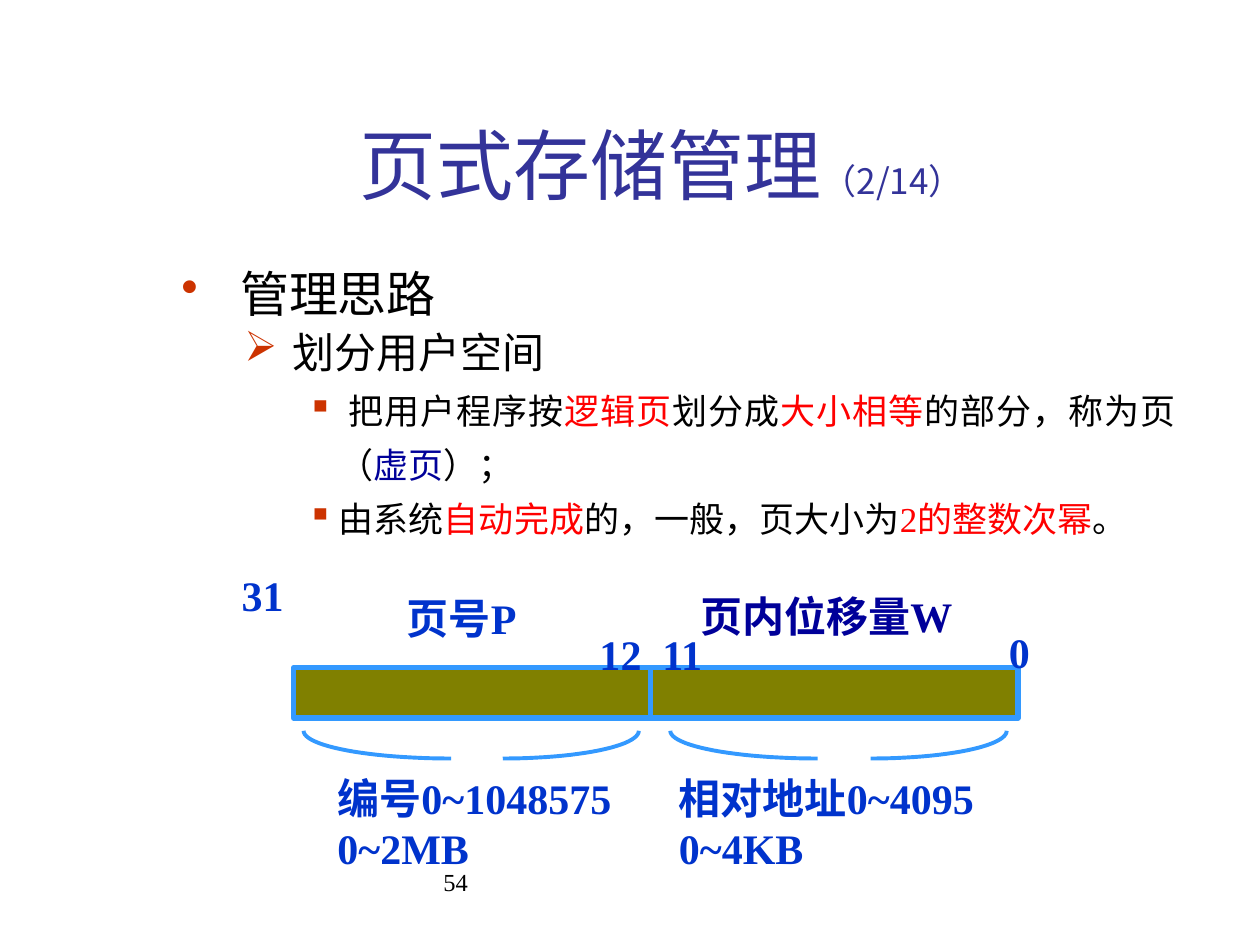
from math import cos, pi, sin

from lxml import etree
from pptx import Presentation
from pptx.dml.color import RGBColor
from pptx.enum import shapes, text
from pptx.oxml.ns import qn
from pptx.util import Inches, Pt

BLACK = RGBColor(0x00, 0x00, 0x00)
RED = RGBColor(0xFF, 0x00, 0x00)
NAVY = RGBColor(0x00, 0x00, 0x99)
INDIGO = RGBColor(0x33, 0x33, 0x99)
BLUE = RGBColor(0x00, 0x33, 0xCC)
SKY = RGBColor(0x33, 0x99, 0xFF)
OLIVE = RGBColor(0x80, 0x80, 0x00)
BULLET = "CC3300"
SANS, SERIF = "Noto Sans CJK SC", "Times New Roman"

# Content: runs are (text, colour)
TITLE = [("页式存储管理", 44), ("（2/14）", 20)]
# level style: bullet, left margin, hanging indent, size, font, line spacing
LEVELS = [
    ("•", 0.38, 0.38, 28, SANS, 1.5),
    ("➢", 0.81, 0.31, 24, SANS, Pt(31)),
    ("▪", 1.25, 0.25, 20, SERIF, Pt(31)),
]
BODY = [
    (0, [(" 管理思路", BLACK)]),
    (1, [(" 划分用户空间", BLACK)]),
    (2, [(" 把用户程序按", BLACK), ("逻辑页", RED), ("划分成", BLACK),
         ("大小相等", RED), ("的部分，称为页（", BLACK), ("虚页", NAVY),
         ("）；", BLACK)]),
    (2, [("由系统", BLACK), ("自动完成", RED), ("的，一般，页大小为", BLACK),
         ("2的整数次幂", RED), ("。", BLACK)]),
]
# Diagram labels: left, top, width, height, lines, colour
LABELS = [
    (1.82, 4.47, 0.53, 0.5, ["31"], BLUE),
    (7.91, 4.92, 0.36, 0.5, ["0"], BLUE),
    (5.16, 4.94, 0.53, 0.5, ["11"], BLUE),
    (4.66, 4.94, 0.53, 0.5, ["12"], BLUE),
    (3.13, 4.65, 1.15, 0.5, ["页号P"], BLUE),
    (5.46, 4.64, 2.28, 0.5, ["页内位移量W"], NAVY),
    (2.58, 6.08, 2.45, 0.9, ["编号0~1048575", "0~2MB"], BLUE),
    (5.29, 6.08, 2.62, 0.9, ["相对地址0~4095", "0~4KB"], BLUE),
]
BAR = (2.33, 5.3, 5.75, 0.4)
DIVIDER_X = 5.16
BRACES = [(2.41, 5.07), (5.32, 7.99)]  # left and right ends
BRACE_TOP, BRACE_HEIGHT = 5.8, 0.22
LEFT_ARC, RIGHT_ARC = 1.17, 1.08  # widths


def set_font(font, size, name, color=None, bold=False):
    font.size, font.name, font.bold = Pt(size), name, bold
    if color is not None:
        font.color.rgb = color


def add_text_box(left, top, width, height, wrap=True):
    box = slide.shapes.add_textbox(*map(Inches, (left, top, width, height)))
    box.text_frame.word_wrap = wrap
    return box.text_frame


def next_paragraph(frame, index):
    return frame.add_paragraph() if index else frame.paragraphs[0]


def add_bullet(paragraph, character, margin, hanging):
    properties = paragraph._p.get_or_add_pPr()
    properties.set("marL", str(Inches(margin)))
    properties.set("indent", str(-Inches(hanging)))
    color = etree.SubElement(properties, qn("a:buClr"))
    etree.SubElement(color, qn("a:srgbClr"), val=BULLET)
    etree.SubElement(properties, qn("a:buChar"), char=character)


def add_arc(corner_x, width, direction):
    """Quarter ellipse from the outer corner down towards the middle."""
    points = [
        (Inches(corner_x + direction * width * (1 - cos(step * pi / 48))),
         Inches(BRACE_TOP + BRACE_HEIGHT * sin(step * pi / 48)))
        for step in range(25)
    ]
    builder = slide.shapes.build_freeform(*points[0])
    builder.add_line_segments(points[1:], close=False)
    arc = builder.convert_to_shape()
    arc.shadow.inherit = False
    arc.fill.background()
    arc.line.color.rgb, arc.line.width = SKY, Pt(2.25)


presentation = Presentation()
presentation.slide_width, presentation.slide_height = Inches(10), Inches(7.5)
slide = presentation.slides.add_slide(presentation.slide_layouts[6])

# Page number
paragraph = add_text_box(3.42, 6.83, 3.17, 0.5).paragraphs[0]
paragraph.text = "54"
set_font(paragraph.font, 14, SERIF, BLACK)

# Bulleted body
frame = add_text_box(1.34, 1.81, 8.09, 4.69)
for index, (level, runs) in enumerate(BODY):
    bullet, margin, hanging, size, name, spacing = LEVELS[level]
    paragraph = next_paragraph(frame, index)
    paragraph.level = level
    paragraph.line_spacing = spacing
    if level == 2:
        paragraph.alignment = text.PP_ALIGN.JUSTIFY
    add_bullet(paragraph, bullet, margin, hanging)
    set_font(paragraph.font, size, name)
    for words, color in runs:
        run = paragraph.add_run()
        run.text = words
        run.font.color.rgb = color

# Title
frame = add_text_box(1, 0.67, 8.5, 1.25)
frame.vertical_anchor = text.MSO_ANCHOR.MIDDLE
paragraph = frame.paragraphs[0]
paragraph.alignment = text.PP_ALIGN.CENTER
for words, size in TITLE:
    run = paragraph.add_run()
    run.text = words
    set_font(run.font, size, SANS, INDIGO)

# Address bar and its divider
bar = slide.shapes.add_shape(shapes.MSO_SHAPE.RECTANGLE, *map(Inches, BAR))
bar.shadow.inherit = False
bar.fill.solid()
bar.fill.fore_color.rgb = OLIVE
bar.line.color.rgb, bar.line.width = SKY, Pt(3)
divider = slide.shapes.add_connector(
    shapes.MSO_CONNECTOR.STRAIGHT, Inches(DIVIDER_X), bar.top,
    Inches(DIVIDER_X), bar.top + bar.height)
divider.line.color.rgb, divider.line.width = SKY, Pt(3)
etree.SubElement(divider._element.spPr, qn("a:effectLst"))

# Labels
for left, top, width, height, lines, color in LABELS:
    frame = add_text_box(left, top, width, height, wrap=False)
    frame.auto_size = text.MSO_AUTO_SIZE.SHAPE_TO_FIT_TEXT
    for index, line in enumerate(lines):
        paragraph = next_paragraph(frame, index)
        paragraph.text = line
        set_font(paragraph.font, 24, SERIF, color, bold=True)

# Braces under the bar
for left, right in BRACES:
    add_arc(left, LEFT_ARC, 1)
    add_arc(right, RIGHT_ARC, -1)

presentation.save("out.pptx")
